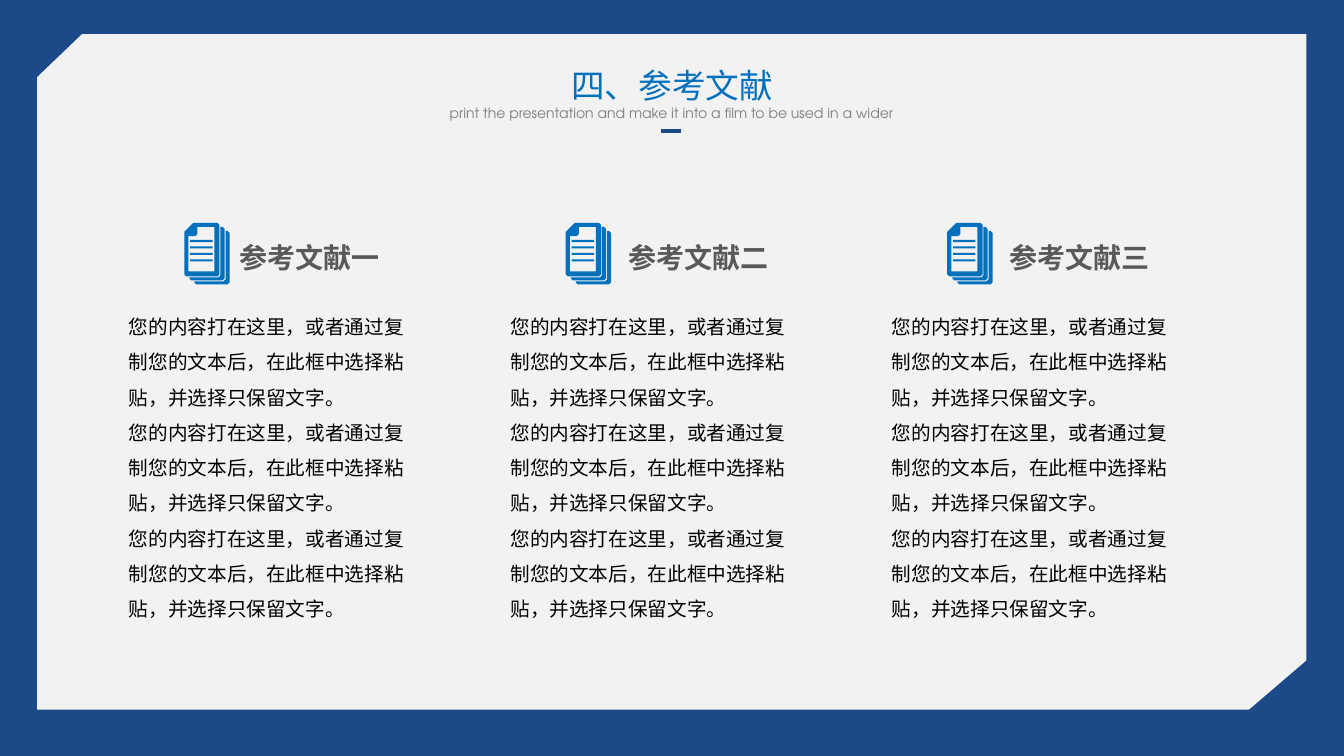
from pptx import Presentation
from pptx.dml.color import RGBColor
from pptx.enum.shapes import MSO_CONNECTOR, MSO_SHAPE
from pptx.enum.text import MSO_AUTO_SIZE, PP_ALIGN
from pptx.oxml.ns import qn
from pptx.util import Pt
from lxml.etree import SubElement

NAVY = RGBColor(0x1C, 0x49, 0x87)
BLUE = RGBColor(0x01, 0x70, 0xBD)
PALE = RGBColor(0xF2, 0xF2, 0xF2)
GRAY = RGBColor(0x80, 0x80, 0x80)
DARK = RGBColor(0x59, 0x59, 0x59)
BLACK = RGBColor(0, 0, 0)
CHINESE, LATIN, HEADING = "Noto Sans CJK SC", "TeX Gyre Adventor", "Arial"

FRONT_SHEET = [(6.5, 0), (23.8, 0), (25.2, 1.4), (25.2, 36.7), (23.8, 38.2),
               (1.4, 38.2), (0, 36.7), (0, 6.5)]
FRONT_HOLE = [(9.4, 2.9), (9.4, 7.9), (7.9, 9.4), (2.9, 9.4), (2.9, 34.6),
              (21.6, 34.6), (21.6, 2.9)]
SECOND_SHEET = [(25.9, 2.9), (27.4, 2.9), (28.8, 4.3), (28.8, 39.6), (27.4, 41),
                (5, 41), (3.6, 39.6), (3.6, 38.9), (24.5, 38.9), (25.9, 37.4)]
THIRD_SHEET = [(x + 3.6, y + 2.9) for x, y in SECOND_SHEET]
TEXT_LINES = [[(4.3, y), (20.2, y), (20.2, y + 1.5), (4.3, y + 1.5)]
              for y in (12.2 + 4.6 * row for row in range(4))]
DOCUMENT_ICON = [FRONT_SHEET, FRONT_HOLE, SECOND_SHEET, THIRD_SHEET, *TEXT_LINES]

REFERENCE = "您的内容打在这里，或者通过复制您的文本后，在此框中选择粘贴，并选择只保留文字。"
COLUMN_LEFT, COLUMN_STEP = 85, 272.5
HEADINGS = [("参考文献一", 79.2, 144, PP_ALIGN.LEFT),
            ("参考文献二", 79.2, 124.6, PP_ALIGN.CENTER),
            ("参考文献三", 83.5, 115.2, PP_ALIGN.CENTER)]


def write(para, text, size=14, font=CHINESE, color=BLACK, bold=False,
          align=PP_ALIGN.LEFT, spacing=1.0):
    """Put formatted text into a paragraph."""
    para.alignment = align
    para.line_spacing = spacing
    span = para.add_run()
    span.text = text
    span.font.size = Pt(size)
    span.font.name = font
    span.font.bold = bold
    span.font.color.rgb = color
    SubElement(span.font._element, qn("a:ea")).set("typeface", font)


class Painter:
    """Draws styled elements on the current slide, measured in points."""

    def __init__(self, page, background):
        self.page = page
        page.background.fill.solid()
        page.background.fill.fore_color.rgb = background

    def paint(self, shape, fill, line=None):
        shape.shadow.inherit = False
        shape.fill.solid()
        shape.fill.fore_color.rgb = fill
        if line is None:
            shape.line.fill.background()
        else:
            shape.line.color.rgb = line
            shape.line.width = Pt(1)

    def rectangle(self, left, top, width, height, fill, line=None, rotation=0):
        shape = self.page.shapes.add_shape(
            MSO_SHAPE.RECTANGLE, Pt(left), Pt(top), Pt(width), Pt(height))
        shape.rotation = rotation
        self.paint(shape, fill, line)

    def outline(self, left, top, contours, fill):
        placed = [[(Pt(left + x), Pt(top + y)) for x, y in contour]
                  for contour in contours]
        builder = self.page.shapes.build_freeform(*placed[0][0], scale=1.0)
        for contour in placed:
            if contour is not placed[0]:
                builder.move_to(*contour[0])
            builder.add_line_segments(contour[1:], close=True)
        self.paint(builder.convert_to_shape(), fill)

    def line(self, left, right, y, color, width):
        connector = self.page.shapes.add_connector(
            MSO_CONNECTOR.STRAIGHT, Pt(left), Pt(y), Pt(right), Pt(y))
        connector.line.color.rgb = color
        connector.line.width = Pt(width)
        SubElement(connector._element.spPr, qn("a:effectLst"))

    def text(self, left, top, width, height, *texts, **style):
        box = self.page.shapes.add_textbox(Pt(left), Pt(top), Pt(width), Pt(height))
        frame = box.text_frame
        frame.word_wrap = True
        frame.auto_size = MSO_AUTO_SIZE.SHAPE_TO_FIT_TEXT
        for index, text in enumerate(texts):
            para = frame.add_paragraph() if index else frame.paragraphs[0]
            write(para, text, **style)


deck = Presentation()
deck.slide_width, deck.slide_height = Pt(960), Pt(540)
painter = Painter(deck.slides.add_slide(deck.slide_layouts[6]), NAVY)

painter.rectangle(26.6, 24.5, 906.5, 482.5, PALE)
painter.rectangle(-8.6, -29.5, 57.6, 100, NAVY, NAVY, rotation=46.2)
painter.rectangle(901.4, 455.8, 61.2, 116, NAVY, NAVY, rotation=49.4)

painter.text(317.5, 42.5, 325, 36, "四、参考文献",
             size=24, color=BLUE, align=PP_ALIGN.CENTER)
painter.text(311, 68.4, 337, 20,
             "print the presentation and make it into a film to be used in a wider",
             size=10, font=LATIN, color=GRAY, align=PP_ALIGN.CENTER, spacing=1.2)
painter.line(472.3, 486.7, 93.6, NAVY, 3)

for column, (heading, offset, width, align) in enumerate(HEADINGS):
    left = COLUMN_LEFT + column * COLUMN_STEP
    painter.outline(left + 46.6, 159.2, DOCUMENT_ICON, BLUE)
    painter.text(left + offset, 163.6, width, 34, heading, size=20, font=HEADING,
                 color=DARK, bold=True, align=align, spacing=1.2)
    painter.text(left, 213, 224, 233, *[REFERENCE] * 3, spacing=1.5)

deck.save("out.pptx")
